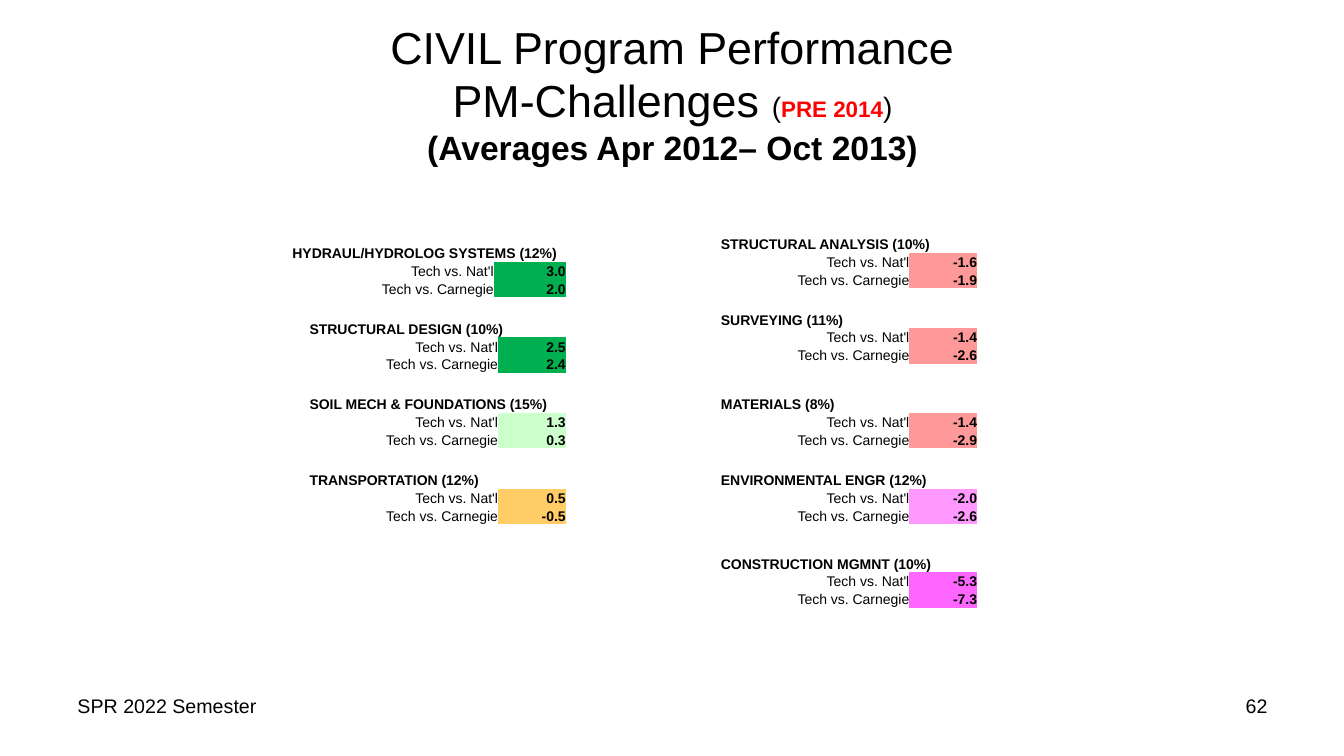
"""Build the CIVIL program performance slide."""
from dataclasses import dataclass
from typing import Any

from pptx import Presentation
from pptx.dml.color import RGBColor
from pptx.enum.text import MSO_ANCHOR as Anchor, MSO_AUTO_SIZE as AutoSize, PP_ALIGN as Align
from pptx.util import Inches, Pt

BLACK = RGBColor(0x00, 0x00, 0x00)
RED = RGBColor(0xFF, 0x00, 0x00)
GREEN = RGBColor(0x00, 0xB0, 0x50)
PALE_GREEN = RGBColor(0xCC, 0xFF, 0xCC)
ORANGE = RGBColor(0xFF, 0xCC, 0x66)
SALMON = RGBColor(0xFF, 0x99, 0x99)
PINK = RGBColor(0xFF, 0x99, 0xFF)
MAGENTA = RGBColor(0xFF, 0x66, 0xFF)

FONT = "Arial"
NO_STYLE_NO_GRID = "{2D5ABB26-0587-4C30-8999-92F81FD0307C}"
ROW_LABELS = ("Tech vs. Nat'l", "Tech vs. Carnegie")
LEFT, RIGHT = 2.92, 7
HEADING_INDENT = Inches(0.15)


@dataclass(frozen=True)
class Subject:
    """A subject area with its two score differences."""
    heading: str
    scores: tuple[str, str]
    color: RGBColor
    left: float
    top: float
    width: float = 2.69


@dataclass(frozen=True)
class TitlePart:
    """A run of the title, optionally followed by a line break."""
    text: str
    size: int
    bold: bool = False
    color: RGBColor = BLACK
    small_caps: bool = False
    line_break: bool = False


@dataclass(frozen=True)
class FooterNote:
    """A line of text at the foot of the slide."""
    text: str
    left: float
    alignment: Align


SUBJECTS = (
    Subject("HYDRAUL/HYDROLOG SYSTEMS (12%)", ("3.0", "2.0"), GREEN, 2.75, 2.42, 2.86),
    Subject("STRUCTURAL DESIGN (10%)", ("2.5", "2.4"), GREEN, LEFT, 3.17),
    Subject("SOIL MECH & FOUNDATIONS (15%)", ("1.3", "0.3"), PALE_GREEN, LEFT, 3.92),
    Subject("TRANSPORTATION (12%)", ("0.5", "-0.5"), ORANGE, LEFT, 4.67),
    Subject("STRUCTURAL ANALYSIS (10%)", ("-1.6", "-1.9"), SALMON, RIGHT, 2.33),
    Subject("SURVEYING (11%)", ("-1.4", "-2.6"), SALMON, RIGHT, 3.08),
    Subject("MATERIALS (8%)", ("-1.4", "-2.9"), SALMON, RIGHT, 3.92),
    Subject("ENVIRONMENTAL ENGR (12%)", ("-2.0", "-2.6"), PINK, RIGHT, 4.67),
    Subject("CONSTRUCTION MGMNT (10%)", ("-5.3", "-7.3"), MAGENTA, RIGHT, 5.5),
)
TITLE_PARTS = (
    TitlePart("CIVIL Program Performance", 32, line_break=True),
    TitlePart("PM-Challenges ", 32),
    TitlePart("(", 20),
    TitlePart("pre 2014", 20, bold=True, color=RED, small_caps=True),
    TitlePart(")", 20, line_break=True),
    TitlePart("(Averages Apr 2012– Oct 2013)", 24, bold=True),
)
FOOTER_NOTES = (
    FooterNote("SPR 2022 Semester", 0.67, Align.LEFT),
    FooterNote("62", 9.56, Align.RIGHT),
)


def set_attributes(target: Any, values: dict[str, Any]) -> None:
    """Set every named attribute on the target."""
    for name, value in values.items():
        setattr(target, name, value)


def add_run(paragraph: Any, text: str, size: int, bold: bool = False,
            color: RGBColor = BLACK) -> Any:
    """Add a formatted run to a paragraph and return it."""
    run = paragraph.add_run()
    run.text = text
    set_attributes(run.font, {"name": FONT, "size": Pt(size), "bold": bold})
    run.font.color.rgb = color
    return run


def fill_title(title: Any) -> None:
    """Place the title placeholder and write its parts."""
    set_attributes(title, {"left": Inches(0.67), "top": Inches(0.3),
                           "width": Inches(12), "height": Inches(1.25)})
    set_attributes(title.text_frame, {"vertical_anchor": Anchor.MIDDLE,
                                      "word_wrap": True, "auto_size": AutoSize.NONE})
    paragraph = title.text_frame.paragraphs[0]
    paragraph.alignment = Align.CENTER
    for part in TITLE_PARTS:
        run = add_run(paragraph, part.text, part.size, part.bold, part.color)
        if part.small_caps:
            run.font._element.set("cap", "small")
        if part.line_break:
            paragraph.add_line_break()


def write_cell(cell: Any, text: str, bold: bool, alignment: Align, indent: int = 0) -> None:
    """Write one table cell with tight margins and bottom anchoring."""
    set_attributes(cell, {"margin_left": indent, "margin_right": 0, "margin_top": 0,
                          "margin_bottom": 0, "vertical_anchor": Anchor.BOTTOM})
    paragraph = cell.text_frame.paragraphs[0]
    paragraph.alignment = alignment
    add_run(paragraph, text, 10, bold)


def add_subject(slide: Any, subject: Subject) -> None:
    """Add the score table of one subject."""
    width = Inches(subject.width)
    table = slide.shapes.add_table(3, 2, Inches(subject.left), Inches(subject.top),
                                   width, Inches(0.53)).table
    set_attributes(table, {"first_row": False, "horz_banding": False})
    table._tbl.tblPr.find("{*}tableStyleId").text = NO_STYLE_NO_GRID
    table.columns[0].width = width * 3 // 4
    table.columns[1].width = width // 4
    table.cell(0, 0).merge(table.cell(0, 1))
    write_cell(table.cell(0, 0), subject.heading, True, Align.LEFT, HEADING_INDENT)
    for row, (label, score) in enumerate(zip(ROW_LABELS, subject.scores), start=1):
        write_cell(table.cell(row, 0), label, False, Align.RIGHT)
        score_cell = table.cell(row, 1)
        write_cell(score_cell, score, True, Align.RIGHT)
        score_cell.fill.solid()
        score_cell.fill.fore_color.rgb = subject.color


def add_footer_note(slide: Any, note: FooterNote) -> None:
    """Add one text box at the foot of the slide."""
    box = slide.shapes.add_textbox(Inches(note.left), Inches(6.83), Inches(3.11), Inches(0.52))
    box.text_frame.word_wrap = True
    paragraph = box.text_frame.paragraphs[0]
    paragraph.alignment = note.alignment
    add_run(paragraph, note.text, 14)


def main() -> None:
    """Build and save the presentation."""
    presentation = Presentation()
    set_attributes(presentation, {"slide_width": Inches(13.33), "slide_height": Inches(7.5)})
    slide = presentation.slides.add_slide(presentation.slide_layouts[5])
    fill_title(slide.shapes.title)
    for subject in SUBJECTS:
        add_subject(slide, subject)
    for note in FOOTER_NOTES:
        add_footer_note(slide, note)
    presentation.save("out.pptx")


main()
